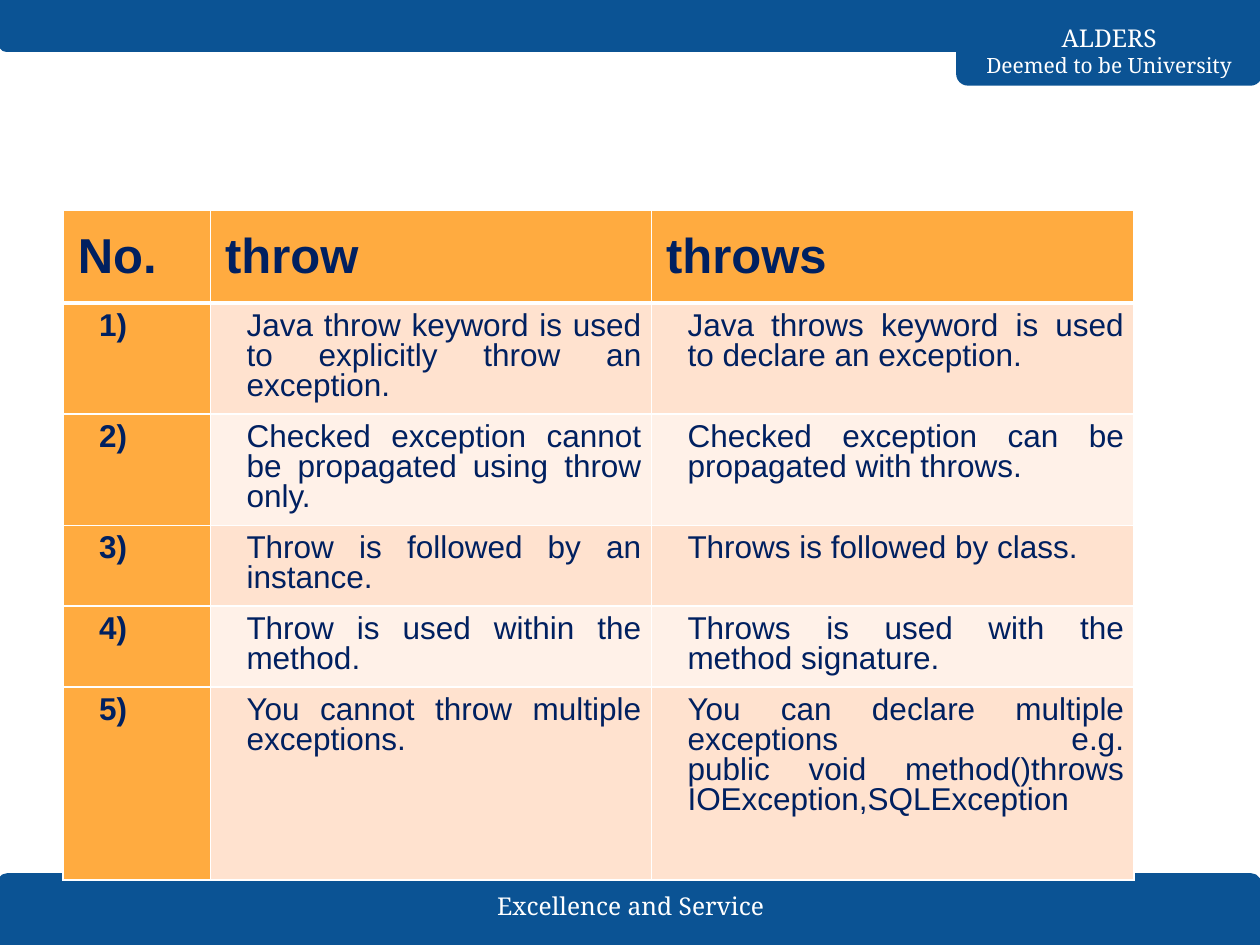
"""Build a slide comparing throw and throws in a table between banner bars."""
from lxml import etree
from pptx import Presentation, util as u
from pptx.dml.color import RGBColor
from pptx.enum import shapes, text
from pptx.oxml.ns import qn

NAVY, BLUE, WHITE, ORANGE = "002060", "0B5394", "FFFFFF", "FFAB40"
BANDS = ["FFE2CF", "FFF1E8"]


def paint(color_format, color):
    color_format.rgb = RGBColor.from_string(color)


def add_border(cell, side, points):
    line = etree.Element(qn("a:" + side), w=str(u.Pt(points)))
    fill = etree.SubElement(line, qn("a:solidFill"))
    etree.SubElement(fill, qn("a:srgbClr"), val=WHITE)
    return line


deck = Presentation()
deck.slide_width, deck.slide_height = u.Cm(25.4), u.Cm(19.05)
slide = deck.slides.add_slide(deck.slide_layouts[6])

bars = [
    (-0.03, 17.63, 25.43, 1.42, 0),
    (19.3, 0, 6.12, 1.7, 180),
    (0, 0, 25.43, 1.02, 180),
]
for left, top, width, height, turn in bars:
    bar = slide.shapes.add_shape(shapes.MSO_SHAPE.ROUND_2_SAME_RECTANGLE,
                                 u.Cm(left), u.Cm(top), u.Cm(width), u.Cm(height))
    bar.adjustments[0], bar.adjustments[1] = 0.125, 0
    bar.rotation = turn
    bar.shadow.inherit = False
    bar.fill.solid()
    paint(bar.fill.fore_color, BLUE)
    paint(bar.line.color, BLUE)
    bar.line.width = u.Pt(1.5)

captions = [
    (9.3, 17.86, 6.83, 0.81, [("Excellence and Service", 14)]),
    (19.3, 0.69, 6.12, 0.64, [("ALDERS", 14), ("Deemed to be University", 12)]),
]
for left, top, width, height, lines in captions:
    caption = slide.shapes.add_textbox(u.Cm(left), u.Cm(top), u.Cm(width), u.Cm(height))
    frame = caption.text_frame
    frame.word_wrap = True
    frame.vertical_anchor = text.MSO_ANCHOR.MIDDLE
    frame.margin_left = frame.margin_right = frame.margin_top = frame.margin_bottom = u.Cm(0.25)
    paragraph = frame.paragraphs[0]
    paragraph.alignment = text.PP_ALIGN.CENTER
    paragraph.font.name = "Noto Serif"
    paint(paragraph.font.color, WHITE)
    for number, (words, size) in enumerate(lines):
        if number:
            paragraph.add_line_break()
        run = paragraph.add_run()
        run.text = words
        run.font.size = u.Pt(size)

rows = [
    ("No.", "throw", "throws"),
    ("1)", "Java throw keyword is used to explicitly throw an exception.",
     "Java throws keyword is used to declare an exception."),
    ("2)", "Checked exception cannot be propagated using throw only.",
     "Checked exception can be propagated with throws."),
    ("3)", "Throw is followed by an instance.", "Throws is followed by class."),
    ("4)", "Throw is used within the method.", "Throws is used with the method signature."),
    ("5)", "You cannot throw multiple exceptions.",
     "You can declare multiple exceptions e.g.\v"
     "public void method()throws IOException,SQLException"),
]
widths = [2.97, 8.89, 9.73]
heights = [1.79, 2.24, 2.24, 1.63, 1.63, 3.89]
comparison = slide.shapes.add_table(len(rows), len(widths), u.Cm(1.27), u.Cm(4.24),
                                    u.Cm(sum(widths)), u.Cm(sum(heights))).table
for column, width in zip(comparison.columns, widths):
    column.width = u.Cm(width)

for r, row in enumerate(rows):
    comparison.rows[r].height = u.Cm(heights[r])
    for c, words in enumerate(row):
        header = r == 0
        cell = comparison.cell(r, c)
        margin = u.Cm(0.3 if header else 0.2)
        cell.margin_left = cell.margin_right = cell.margin_top = cell.margin_bottom = margin
        cell.fill.solid()
        paint(cell.fill.fore_color, ORANGE if header or c == 0 else BANDS[(r - 1) % 2])
        thickness = {"lnL": 1, "lnR": 1, "lnT": 3 if r == 1 else 1, "lnB": 3 if header else 1}
        for place, (side, points) in enumerate(thickness.items()):
            cell._tc.tcPr.insert(place, add_border(cell, side, points))
        paragraph = cell.text_frame.paragraphs[0]
        paragraph.text = words
        paragraph.line_spacing = 1.07 if header else u.Pt(17.2)
        if not header:
            paragraph.alignment = text.PP_ALIGN.JUSTIFY
            paragraph._p.get_or_add_pPr().set("marL", str(u.Cm(0.53)))
        paragraph.font.name = "Arial"
        paragraph.font.size = u.Pt(28 if header else 18)
        paragraph.font.bold = header or c == 0
        paint(paragraph.font.color, NAVY)

deck.save("out.pptx")
